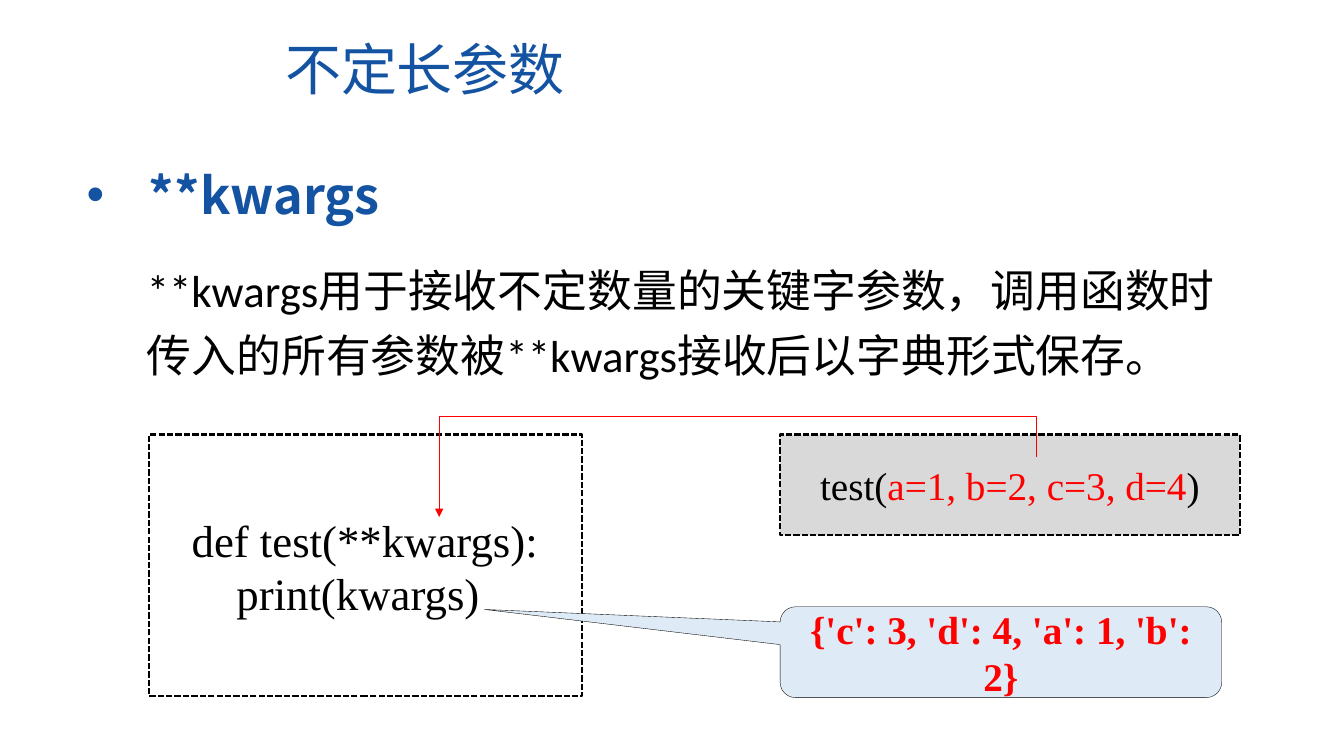
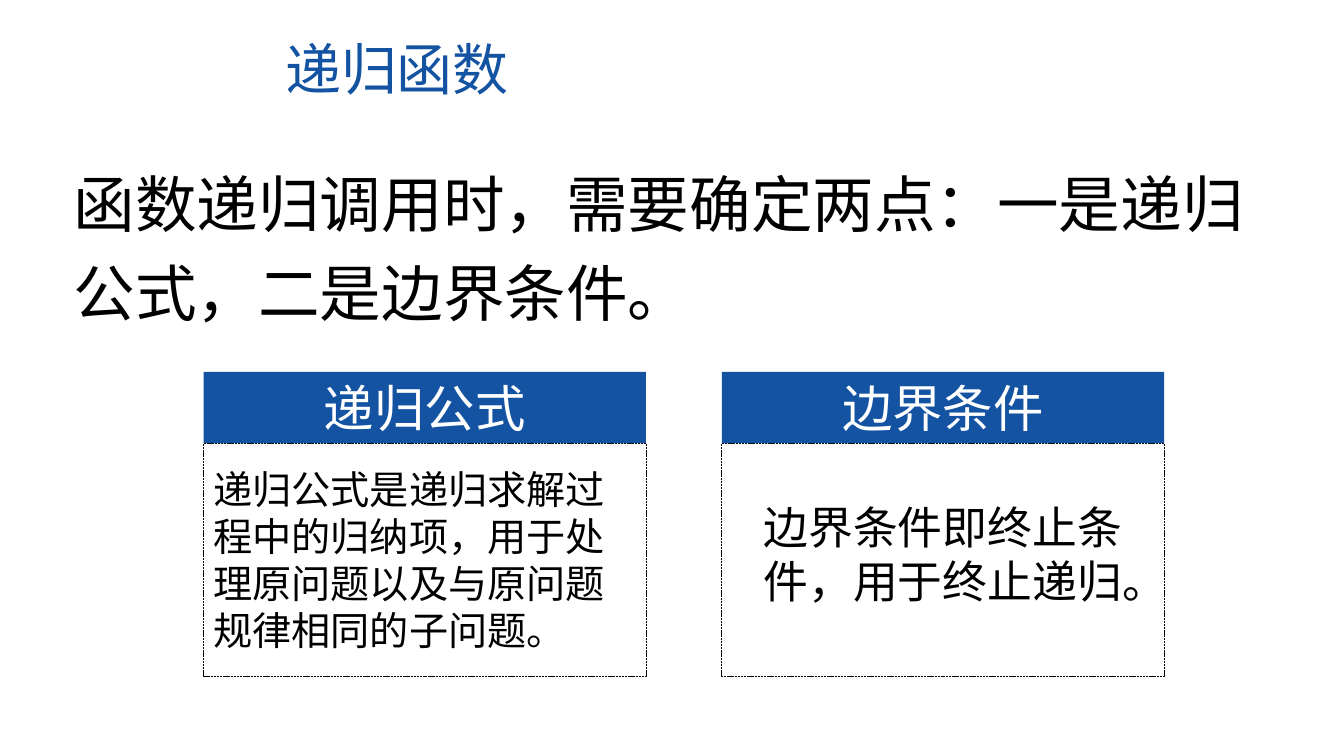
from dataclasses import dataclass

import pptx
import pptx.chart.data
import pptx.dml.color
import pptx.enum.dml
import pptx.enum.shapes
import pptx.enum.text
import pptx.oxml
import pptx.oxml.ns
import pptx.util
from lxml import etree

Cm = pptx.util.Cm
Pt = pptx.util.Pt
qn = pptx.oxml.ns.qn
ALIGN = pptx.enum.text.PP_ALIGN
ANCHOR = pptx.enum.text.MSO_ANCHOR
SHAPE = pptx.enum.shapes.MSO_SHAPE


@dataclass(frozen=True)
class Theme:
    blue: str = "1353A2"
    black: str = "000000"
    white: str = "FFFFFF"
    red: str = "FF0000"
    grey: str = "D9D9D9"
    pale_blue: str = "DEEBF7"
    cjk: str = "Noto Sans CJK SC"
    latin: str = "Calibri"
    code: str = "Times New Roman"
    lead_size: int = 44
    title_size: int = 40
    heading_size: int = 36
    body_size: int = 32
    small_size: int = 28
    single: float = 1.2   # line pitch in ems
    loose: float = 1.45


THEME = Theme()


# Text
def rgb(value):
    return pptx.dml.color.RGBColor.from_string(value)


def format_run(run, size, color, font, bold):
    run.font.size = Pt(size)
    run.font.bold = bold
    run.font.color.rgb = rgb(color)
    run.font.name = font
    east_asian = etree.SubElement(run.font._element, qn("a:ea"))
    east_asian.set("typeface", THEME.cjk)


def write(frame, lines, size, color=THEME.black, font=THEME.cjk, bold=False,
          align=ALIGN.LEFT, anchor=ANCHOR.TOP, pitch=THEME.single):
    """Fill a frame; a line is a string or a list of (text, color) pieces."""
    frame.word_wrap = True
    frame.auto_size = pptx.enum.text.MSO_AUTO_SIZE.NONE
    frame.vertical_anchor = anchor
    for index, line in enumerate(lines):
        paragraph = frame.paragraphs[0] if index == 0 else frame.add_paragraph()
        paragraph.alignment = align
        paragraph.space_before = paragraph.space_after = Pt(0)
        paragraph.line_spacing = Pt(size * pitch)
        pieces = [(line, color)] if isinstance(line, str) else line
        for text, piece_color in pieces:
            run = paragraph.add_run()
            run.text = text
            format_run(run, size, piece_color, font, bold)


def set_indent(paragraph, left, first=0.0, bullet=None):
    properties = paragraph._p.get_or_add_pPr()
    properties.set("marL", str(Cm(left)))
    properties.set("indent", str(Cm(first)))
    if bullet:
        etree.SubElement(properties, qn("a:buFont")).set("typeface", "Arial")
        etree.SubElement(properties, qn("a:buChar")).set("char", bullet)
    else:
        etree.SubElement(properties, qn("a:buNone"))


def set_insets(frame, side, top):
    frame.margin_left = frame.margin_right = Cm(side)
    frame.margin_top = Cm(top)


# Shapes
def place(shape, left, top, width, height):
    shape.left, shape.top = Cm(left), Cm(top)
    shape.width, shape.height = Cm(width), Cm(height)


def add_panel(slide, box, fill=None, line_width=None, dashed=False,
              preset=SHAPE.RECTANGLE):
    panel = slide.shapes.add_shape(preset, *map(Cm, box))
    panel.shadow.inherit = False
    if fill:
        panel.fill.solid()
        panel.fill.fore_color.rgb = rgb(fill)
    else:
        panel.fill.background()
    if line_width:
        panel.line.color.rgb = rgb(THEME.black)
        panel.line.width = Pt(line_width)
        if dashed:
            panel.line.dash_style = pptx.enum.dml.MSO_LINE.SQUARE_DOT
    else:
        panel.line.fill.background()
    return panel


def add_over_arrow(slide, start, end, rise):
    """Elbow arrow that leaves upwards and comes down on its end point."""
    middle_x, middle_y = (start[0] + end[0]) / 2, (start[1] + end[1]) / 2
    half_x, half_y = (start[0] - end[0]) / 2, (end[1] - start[1]) / 2
    arrow = slide.shapes.add_connector(
        pptx.enum.shapes.MSO_CONNECTOR.ELBOW,
        Cm(middle_x + half_y), Cm(middle_y + half_x),
        Cm(middle_x - half_y), Cm(middle_y - half_x))
    arrow.line.color.rgb = rgb(THEME.red)
    arrow.line.width = Pt(0.5)
    properties = arrow._element.spPr
    properties.find(qn("a:xfrm")).set("rot", str(270 * 60000))
    guides = properties.find(qn("a:prstGeom")).get_or_add_avLst()
    guide = etree.SubElement(guides, qn("a:gd"))
    guide.set("name", "adj1")
    guide.set("fmla", f"val {round(-rise / (2 * half_y) * 100000)}")
    tail = etree.SubElement(properties.find(qn("a:ln")), qn("a:tailEnd"))
    tail.set("type", "triangle")
    etree.SubElement(properties, qn("a:effectLst"))


def add_card(slide, left, heading, text, size, align, side, top):
    width, header_top, header_height, body_height = 11.15, 9.37, 1.8, 5.87
    body = add_panel(
        slide, (left, header_top + header_height, width, body_height),
        line_width=0.5, dashed=True)
    set_insets(body.text_frame, side, top)
    write(body.text_frame, [text], size, align=align)
    header = add_panel(slide, (left, header_top, width, header_height),
                       fill=THEME.blue)
    write(header.text_frame, [heading], THEME.heading_size, THEME.white,
          align=ALIGN.CENTER)


# Slides
def new_slide(deck, title):
    slide = deck.slides.add_slide(deck.slide_layouts[1])
    place(slide.shapes.title, 6.93, 0.74, 14.94, 1.96)
    write(slide.shapes.title.text_frame, [title], THEME.title_size, THEME.blue)
    return slide


def build_kwargs_slide(deck):
    slide = new_slide(deck, "不定长参数")

    # Heading and explanation
    heading = slide.placeholders[1]
    place(heading, 1.93, 4.01, 20.32, 1.8)
    write(heading.text_frame, ["**kwargs"], THEME.heading_size, THEME.blue,
          bold=True)
    set_indent(heading.text_frame.paragraphs[0], 1.57, -1.57, "•")
    explanation = slide.shapes.add_textbox(*map(Cm, (3.45, 6.22, 27.94, 3.53)))
    write(explanation.text_frame,
          ["**kwargs用于接收不定数量的关键字参数，调用函数时"
           "传入的所有参数被**kwargs接收后以字典形式保存。"],
          THEME.body_size, font=THEME.latin, pitch=THEME.loose)

    # Definition, call and printed result
    definition = add_panel(slide, (3.76, 10.95, 10.92, 6.6),
                           line_width=1.5, dashed=True)
    set_insets(definition.text_frame, 1.07, 1.96)
    write(definition.text_frame, ["def test(**kwargs):", "print(kwargs)"],
          THEME.body_size, font=THEME.code)
    set_indent(definition.text_frame.paragraphs[1], 1.13)

    call = add_panel(slide, (19.66, 10.95, 11.58, 2.54), fill=THEME.grey,
                     line_width=1.5, dashed=True)
    write(call.text_frame,
          [[("test(", THEME.black), ("a=1, b=2, c=3, d=4", THEME.red),
            (")", THEME.black)]],
          THEME.small_size, font=THEME.code, align=ALIGN.CENTER,
          anchor=ANCHOR.MIDDLE)

    result = add_panel(slide, (19.66, 15.29, 11.13, 2.29),
                       fill=THEME.pale_blue, line_width=0.25,
                       preset=SHAPE.ROUNDED_RECTANGULAR_CALLOUT)
    for index, value in enumerate((-1.17, -0.47, 0.17)):
        result.adjustments[index] = value
    write(result.text_frame, ["{'c': 3, 'd': 4, 'a': 1, 'b': 2}"],
          THEME.small_size, THEME.red, THEME.code, bold=True,
          align=ALIGN.CENTER, anchor=ANCHOR.MIDDLE)

    add_over_arrow(slide, (26.11, 11.51), (11.07, 13.03), rise=1.02)


def build_recursion_slide(deck):
    slide = new_slide(deck, "递归函数")

    # Lead sentence
    lead = slide.placeholders[1]
    place(lead, 1.6, 3.66, 31.22, 4.57)
    write(lead.text_frame,
          ["函数递归调用时，需要确定两点：一是递归公式，二是边界条件。"],
          THEME.lead_size, pitch=THEME.loose)
    set_indent(lead.text_frame.paragraphs[0], 0)

    # The two conditions
    add_card(slide, 5.13, "递归公式",
             "递归公式是递归求解过程中的归纳项，用于处理原问题"
             "以及与原问题规律相同的子问题。",
             THEME.small_size, ALIGN.LEFT, side=0.25, top=0.56)
    add_card(slide, 18.19, "边界条件", "边界条件即终止条件，用于终止递归。",
             THEME.body_size, ALIGN.CENTER, side=0.81, top=1.42)


def main():
    deck = pptx.Presentation()
    deck.slide_width, deck.slide_height = Cm(33.87), Cm(19.05)
    build_kwargs_slide(deck)
    build_recursion_slide(deck)
    deck.save("out.pptx")


if __name__ == "__main__":
    main()
